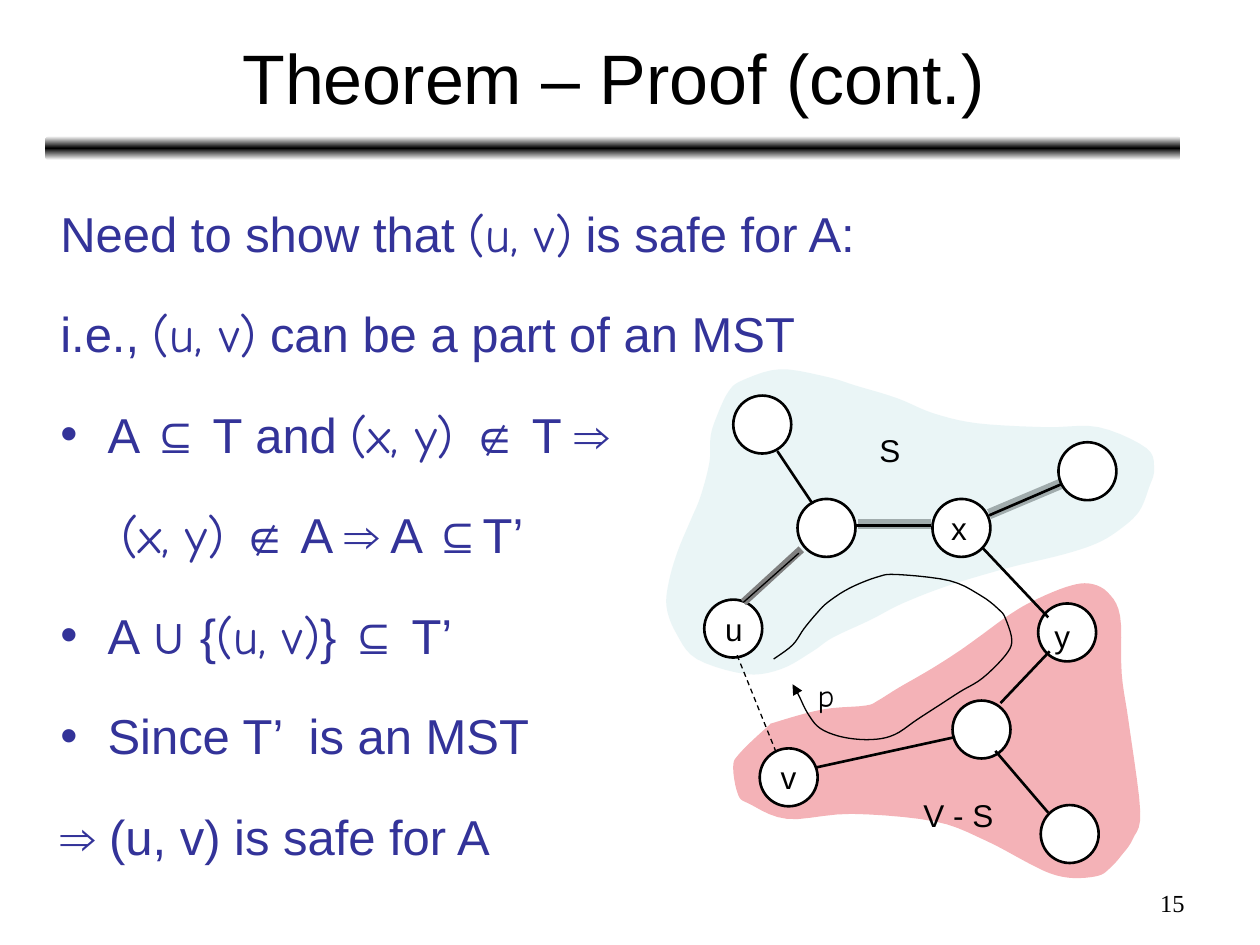
from lxml import etree
from copy import deepcopy
from pptx import Presentation
from pptx.dml.color import RGBColor
from pptx.enum.dml import MSO_LINE
from pptx.enum.shapes import MSO_CONNECTOR, MSO_SHAPE
from pptx.enum.text import MSO_ANCHOR, MSO_AUTO_SIZE, PP_ALIGN
from pptx.oxml.ns import qn
from pptx.util import Pt

OVAL, BAR = MSO_SHAPE.OVAL, MSO_SHAPE.ROUNDED_RECTANGLE
STRAIGHT, DASH = MSO_CONNECTOR.STRAIGHT, MSO_LINE.DASH
LEFT, CENTER, RIGHT = PP_ALIGN.LEFT, PP_ALIGN.CENTER, PP_ALIGN.RIGHT
TOP, MIDDLE = MSO_ANCHOR.TOP, MSO_ANCHOR.MIDDLE
GROW = MSO_AUTO_SIZE.SHAPE_TO_FIT_TEXT
SANS, COMIC, SERIF = "Arial", "Comic Neue", "Times New Roman"
BLACK, WHITE, NAVY = "000000", "FFFFFF", "333399"

# (bulleted, text pieces); every second piece is set in the comic font
BODY = [
    (False, ["Need to show that ", "(u, v)", " is safe for A:"]),
    (False, ["i.e., ", "(u, v)", " can be a part of an MST"]),
    (True, ["A ⊆ T and ", "(x, y) ", "∉ T ⇒"]),
    (False, ["\t ", "(x, y) ", "∉ A ⇒ A ⊆T’"]),
    (True, ["A ∪ {", "(u, v)", "} ⊆ T’"]),
    (True, ["Since T’  is an MST"]),
    (False, ["⇒ (u, v) is safe for A"]),
]

# Node centres and the text inside
DIAMETER = 33.1
NODES = [
    (419, 359.2, "u"), (472.3, 301.7, ""), (549.4, 301.7, ""), (621.4, 269.3, ""),
    (609.8, 361.4, ""), (435.6, 242.6, ""), (560.9, 416.9, ""), (611.3, 476.6, ""),
    (450.7, 444.2, "v"),
]
# Edges: x1, y1, x2, y2, width, colour, dash
SHADED = [
    (490.3, 299.5, 532.1, 299.5, 6, "969696", None),
    (565.2, 293.8, 606.2, 276.5, 6, "969696", None),
]
EDGES = [
    (488.9, 300.2, 532.1, 300.2, 1.5, BLACK, None),
    (444.2, 257.8, 464.4, 288, 1.5, BLACK, None),
    (565.2, 294.5, 607, 276.5, 1.5, BLACK, None),
    (561.6, 313.2, 599, 352.8, 1.5, BLACK, None),
    (466.6, 438.5, 545.8, 421.2, 1.5, BLACK, None),
    (571.7, 401.8, 599.8, 372.2, 1.5, BLACK, None),
    (568.8, 429.1, 599, 464.4, 1.5, BLACK, None),
    (421.2, 374.4, 443.5, 429.8, 0.75, BLACK, DASH),
    (457.9, 313.9, 424.8, 344.2, 4.5, "808080", None),
    (424.8, 344.2, 456.5, 316.1, 0.75, BLACK, None),
]
# Labels: left, top, width, text, font
LABELS = [
    (495.4, 242.6, 26, "S", SANS), (520.6, 451.4, 60, "V - S", SANS),
    (536.4, 287.3, 23, "x", SANS), (595.4, 349.2, 23, "y", SANS),
    (460.1, 383, 23.8, "p", COMIC),
]
# Points that each smooth outline passes through
SET_S = [
    (424.1, 217.4), (416.2, 223.9), (409.7, 237.6), (406.1, 249.1), (405.4, 264.2),
    (400.3, 283.7), (394.6, 297.4), (387.4, 314.6), (382.3, 331.9), (380.9, 347),
    (386.6, 362.2), (398.2, 376.6), (426.2, 385.2), (446.4, 382.3), (464.4, 372.2),
    (475.9, 364.3), (497.5, 354.2), (515.5, 344.9), (541.4, 334.8), (575.3, 324.7),
    (607.7, 316.8), (627.1, 310.3), (640.1, 302.4), (650.9, 292.3), (656.6, 278.6),
    (659.5, 268), (655, 256), (627.8, 244.1), (597.6, 244.1), (558.7, 241.9),
    (533.5, 236.2), (512.6, 227.5), (488.9, 220.3), (472.3, 215.3), (445.7, 211),
]
SET_V_MINUS_S = [
    (494.6, 403.2), (470.2, 405.4), (443.5, 412.6), (438.5, 415.4), (422.6, 430.6),
    (419, 438.5), (421.9, 454.3), (428.4, 459.4), (450, 468), (486.7, 465.1),
    (534.2, 469.4), (563, 480.2), (589, 493.9), (601.9, 499.7), (614.2, 501.8),
    (627.8, 500.4), (634.3, 496.1), (640.8, 488.9), (647.3, 479.5), (651.6, 463.7),
    (645.1, 413.3), (641, 385), (640.1, 352.1), (632.9, 338.4), (622.1, 333.4),
    (609.1, 335.5), (590.4, 343.4), (576.7, 351.4), (560.9, 362.9), (547.9, 372.2),
    (532.1, 382.3), (513.4, 393.1), (501.8, 400.3),
]
PATH_P = [
    (442.1, 376.6), (452.9, 368.6), (459.4, 359.3), (466.6, 350.6), (473, 344.2),
    (485.3, 336.2), (501.1, 329.8), (512.6, 328.3), (542.9, 331.9), (560.9, 340.6),
    (571, 348.5), (574.6, 353.5), (578.2, 365.8), (574.6, 374.4), (561.6, 387.4),
    (548.6, 395.3), (536.4, 403.2), (524.2, 411.1), (511.2, 419.8), (498.2, 422.6),
    (482, 421.3), (468.7, 416.2), (461.5, 407.5), (456.5, 397.4), (452.9, 391),
]


def rgb(color):
    return RGBColor.from_string(color)


def style(r, size, font, color=BLACK):
    r.font.size, r.font.name = Pt(size), font
    r.font.color.rgb = rgb(color)


def text_box(x, y, w, h, text, size, font, align=LEFT, anchor=TOP):
    tf = s.shapes.add_textbox(Pt(x), Pt(y), Pt(w), Pt(h)).text_frame
    tf.word_wrap, tf.vertical_anchor = True, anchor
    tf.text = text
    p = tf.paragraphs[0]
    p.alignment = align
    for r in p.runs:
        style(r, size, font)
    return tf


def edge(x1, y1, x2, y2, width, color, dash):
    c = s.shapes.add_connector(STRAIGHT, Pt(x1), Pt(y1), Pt(x2), Pt(y2))
    c.line.width, c.line.color.rgb = Pt(width), rgb(color)
    if dash:
        c.line.dash_style = dash
    etree.SubElement(c._element.spPr, qn("a:effectLst"))


def spline(points, closed, steps=5):
    """Sample a Catmull-Rom curve through the points."""
    ends = (points[-1:], points[:2]) if closed else (points[:1], points[-1:])
    pts = ends[0] + points + ends[1]
    curve = [points[0]]
    for a, b, c, d in zip(pts, pts[1:], pts[2:], pts[3:]):
        for t in (i / steps for i in range(1, steps + 1)):
            curve.append(tuple(
                (2 * q + (m - k) * t + (2 * k - 5 * q + 4 * m - n) * t ** 2
                 + (3 * q - k - 3 * m + n) * t ** 3) / 2
                for k, q, m, n in zip(a, b, c, d)))
    return curve


def smooth_shape(points, closed):
    start, *rest = [(Pt(x), Pt(y)) for x, y in spline(points, closed)]
    builder = s.shapes.build_freeform(*start)
    builder.add_line_segments(rest, close=closed)
    sp = builder.convert_to_shape()
    sp.shadow.inherit = False
    return sp


def region(points, color):
    sp = smooth_shape(points, True)
    sp.fill.solid()
    sp.fill.fore_color.rgb = rgb(color)
    sp.line.fill.background()
    clr = sp._element.spPr.find(qn("a:solidFill")).find(qn("a:srgbClr"))
    etree.SubElement(clr, qn("a:alpha"), val="30000")


def node(x, y, text):
    sp = s.shapes.add_shape(OVAL, Pt(x - DIAMETER / 2), Pt(y - DIAMETER / 2),
                            Pt(DIAMETER), Pt(DIAMETER))
    sp.shadow.inherit = False
    sp.fill.solid()
    sp.fill.fore_color.rgb = rgb(WHITE)
    sp.line.width, sp.line.color.rgb = Pt(1.5), rgb(BLACK)
    if text:
        tf = sp.text_frame
        tf.text, tf.word_wrap = text, False
        style(tf.paragraphs[0].runs[0], 18, SANS)


prs = Presentation()
prs.slide_width, prs.slide_height = Pt(720), Pt(540)
s = prs.slides.add_slide(prs.slide_layouts[6])

bar = s.shapes.add_shape(BAR, Pt(25.9), Pt(77.8), Pt(648.7), Pt(13.7))
bar.shadow.inherit = False
bar.line.fill.background()
bar.fill.gradient()
bar.fill.gradient_angle = 90
for stop, color, position in zip(bar.fill.gradient_stops, (WHITE, BLACK), (0, 0.5)):
    stop.color.rgb, stop.position = rgb(color), position
stops = bar._element.spPr.find(qn("a:gradFill")).find(qn("a:gsLst"))
last = deepcopy(stops[0])
last.set("pos", "100000")
stops.append(last)

text_box(26.6, 7.9, 648, 71.3, "Theorem – Proof (cont.)", 40, SANS, CENTER, MIDDLE)

tf = text_box(27.4, 95.8, 648, 426.2, "", 28, SANS)
for i, (bulleted, pieces) in enumerate(BODY):
    p = tf.add_paragraph() if i else tf.paragraphs[0]
    p.line_spacing, p.space_before = 1.5, Pt(7)
    pPr = p._p.get_or_add_pPr()
    pPr.set("marL", str(Pt(27)))
    pPr.set("indent", str(-Pt(27)))
    if bulleted:
        clr = etree.SubElement(pPr, qn("a:buClr"))
        etree.SubElement(clr, qn("a:srgbClr"), val=NAVY)
        etree.SubElement(pPr, qn("a:buFont"), typeface=SANS)
        etree.SubElement(pPr, qn("a:buChar"), char="•")
    for j, piece in enumerate(pieces):
        r = p.add_run()
        r.text = piece
        style(r, 28, COMIC if j % 2 else SANS, NAVY)

region(SET_V_MINUS_S, "DD0111")
for line in SHADED:
    edge(*line)
region(SET_S, "BBE0E3")
for item in NODES:
    node(*item)
for line in EDGES:
    edge(*line)

path_p = smooth_shape(PATH_P, False)
path_p.fill.background()
path_p.line.width, path_p.line.color.rgb = Pt(0.75), rgb(BLACK)
etree.SubElement(path_p._element.spPr.find(qn("a:ln")), qn("a:tailEnd"), type="triangle")

for x, y, w, text, font in LABELS:
    label = text_box(x, y, w, 28.8, text, 18, font)
    label.word_wrap, label.auto_size = False, GROW
text_box(516.2, 504, 167.8, 25.2, "15", 14, SERIF, RIGHT)

prs.save("out.pptx")
